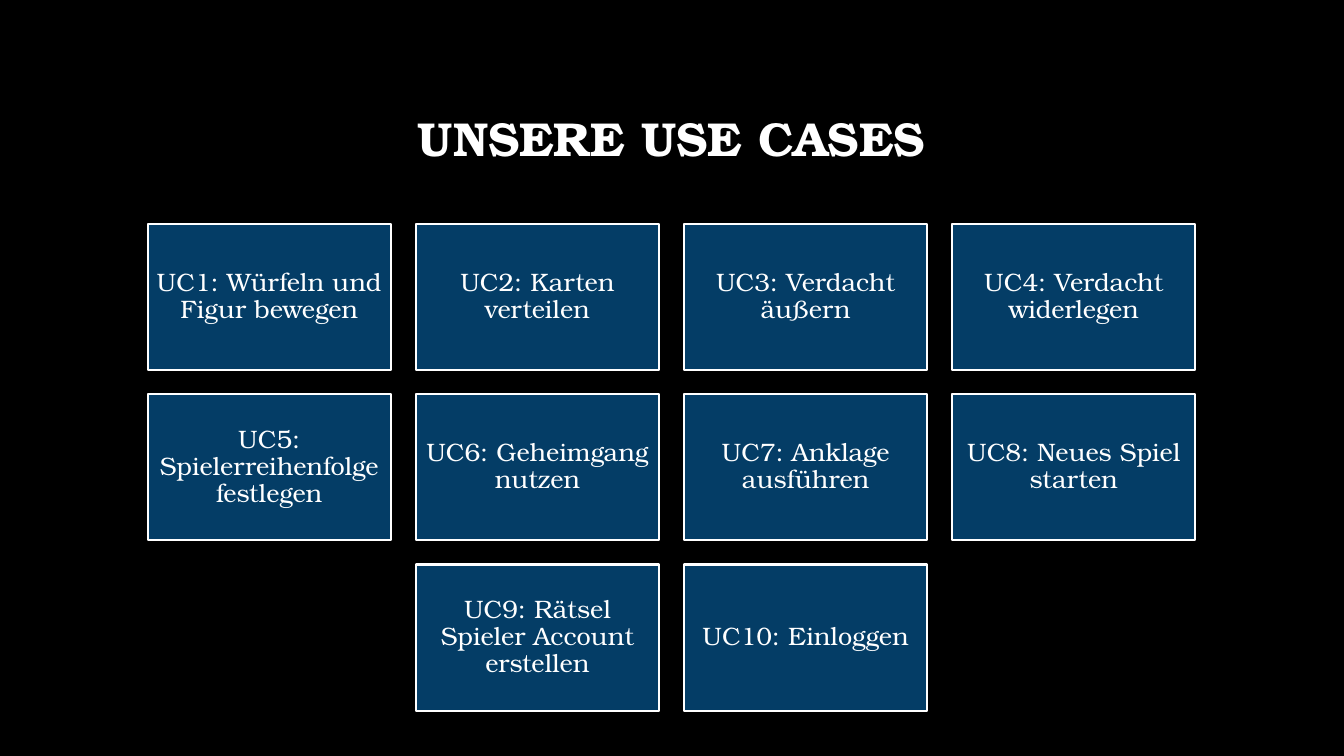
import pptx
import pptx.util
import pptx.dml.color
import pptx.enum.shapes
import pptx.enum.text

Inches = pptx.util.Inches
Pt = pptx.util.Pt
RGBColor = pptx.dml.color.RGBColor

# Content
TITLE = "UNSERE USE CASES"
USE_CASES = [
    "Würfeln und Figur bewegen",
    "Karten verteilen",
    "Verdacht äußern",
    "Verdacht widerlegen",
    "Spielerreihenfolge festlegen",
    "Geheimgang nutzen",
    "Anklage ausführen",
    "Neues Spiel starten",
    "Rätsel Spieler Account erstellen",
    "Einloggen",
]

# Style
BLACK = RGBColor(0x00, 0x00, 0x00)
WHITE = RGBColor(0xFF, 0xFF, 0xFF)
NAVY = RGBColor(0x04, 0x3D, 0x66)
FONT = "TeX Gyre Bonum"

# Grid of cards, in inches; every row is centred
COLUMNS = 4
CARD_WIDTH, CARD_HEIGHT = 2.41, 1.45
COLUMN_GAP, ROW_GAP = 0.25, 0.24
GRID_CENTER, GRID_TOP = 6.66, 2.22
CARD_MARGIN = Inches(0.07)


def write_centered(shape, text, size, bold=False):
    frame = shape.text_frame
    frame.word_wrap = True
    frame.auto_size = pptx.enum.text.MSO_AUTO_SIZE.NONE
    frame.vertical_anchor = pptx.enum.text.MSO_ANCHOR.MIDDLE
    paragraph = frame.paragraphs[0]
    paragraph.text = text
    paragraph.alignment = pptx.enum.text.PP_ALIGN.CENTER
    paragraph.line_spacing = 0.9
    paragraph.font.name = FONT
    paragraph.font.size = Pt(size)
    paragraph.font.bold = bold
    paragraph.font.color.rgb = WHITE


def add_card(slide, left, top, text):
    card = slide.shapes.add_shape(
        pptx.enum.shapes.MSO_SHAPE.RECTANGLE,
        Inches(left), Inches(top), Inches(CARD_WIDTH), Inches(CARD_HEIGHT))
    card.shadow.inherit = False
    card.fill.solid()
    card.fill.fore_color.rgb = NAVY
    card.line.color.rgb = WHITE
    card.line.width = Pt(1.5)
    frame = card.text_frame
    frame.margin_left = frame.margin_right = CARD_MARGIN
    frame.margin_top = frame.margin_bottom = CARD_MARGIN
    write_centered(card, text, 18)


def main():
    presentation = pptx.Presentation()
    presentation.slide_width = Inches(13.33)
    presentation.slide_height = Inches(7.5)
    slide = presentation.slides.add_slide(presentation.slide_layouts[5])
    slide.background.fill.solid()
    slide.background.fill.fore_color.rgb = BLACK

    # Title
    title = slide.shapes.title
    title.left, title.top = Inches(1), Inches(0.67)
    title.width, title.height = Inches(11.32), Inches(1.45)
    write_centered(title, TITLE, 34, bold=True)

    # Use case cards
    for index, use_case in enumerate(USE_CASES):
        row, column = divmod(index, COLUMNS)
        row_count = min(COLUMNS, len(USE_CASES) - row * COLUMNS)
        row_width = row_count * (CARD_WIDTH + COLUMN_GAP) - COLUMN_GAP
        left = GRID_CENTER - row_width / 2 + column * (CARD_WIDTH + COLUMN_GAP)
        top = GRID_TOP + row * (CARD_HEIGHT + ROW_GAP)
        add_card(slide, left, top, f"UC{index + 1}: {use_case}")

    presentation.save("out.pptx")


if __name__ == "__main__":
    main()
